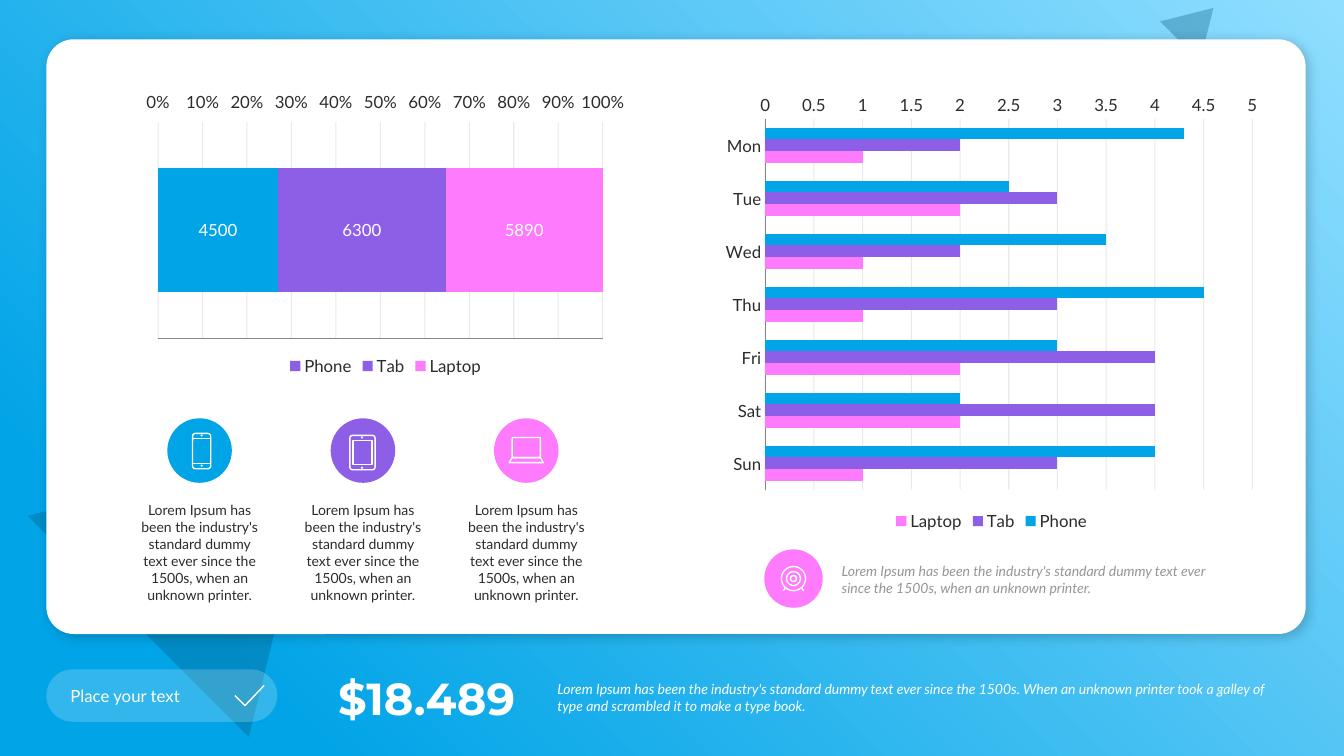
from lxml import etree
from pptx import Presentation
from pptx.chart.data import CategoryChartData
from pptx.dml.color import RGBColor
from pptx.enum.chart import XL_CHART_TYPE, XL_LEGEND_POSITION, XL_TICK_LABEL_POSITION, XL_TICK_MARK
from pptx.enum.shapes import MSO_CONNECTOR, MSO_SHAPE
from pptx.enum.text import MSO_ANCHOR, MSO_AUTO_SIZE, PP_ALIGN
from pptx.oxml import parse_xml
from pptx.oxml.ns import nsdecls, qn
from pptx.util import Inches, Pt

BLUE = RGBColor(0x01, 0xA4, 0xE7)
PURPLE = RGBColor(0x8D, 0x5F, 0xE6)
PINK = RGBColor(0xFD, 0x7B, 0xFC)
WHITE = RGBColor(0xFF, 0xFF, 0xFF)
INK = RGBColor(0x2C, 0x2C, 0x2C)
GRAY = RGBColor(0x96, 0x96, 0x96)
AXIS = RGBColor(0x86, 0x86, 0x86)
NAVY = RGBColor(0x00, 0x52, 0x74)
SKY = RGBColor(0x90, 0xDE, 0xFF)

LOREM = "Lorem Ipsum has been the industry's standard dummy text ever since the 1500s"
PRINTER = LOREM + ", when an unknown printer."
GALLEY = LOREM + (". When an unknown printer took a galley of type"
                  " and scrambled it to make a type book.")


def inches(*lengths):
    return [Inches(length) for length in lengths]


def set_values(target, values):
    for name, value in values.items():
        setattr(target, name, value)


def style_font(font, color, **values):
    set_values(font, {"name": "Lato", "size": Pt(10), **values})
    font.color.rgb = color


def set_alpha(element, percent):
    for color in element.iter(qn("a:srgbClr")):
        etree.SubElement(color, qn("a:alpha"), val=str(percent * 1000))


def add_solid(slide, kind, box, color, alpha=None, rotation=0, corner=None):
    shape = slide.shapes.add_shape(kind, *inches(*box))
    shape.shadow.inherit = False
    shape.fill.solid()
    shape.fill.fore_color.rgb = color
    shape.line.fill.background()
    shape.rotation = rotation
    if corner is not None:
        shape.adjustments[0] = corner
    if alpha is not None:
        set_alpha(shape.fill._xPr, alpha)
    return shape


def add_outline(slide, kind, box, corner=None):
    shape = add_solid(slide, kind, box, WHITE, corner=corner)
    shape.fill.background()
    shape.line.color.rgb = WHITE
    shape.line.width = Pt(1)


def add_stroke(slide, x1, y1, x2, y2):
    stroke = slide.shapes.add_connector(MSO_CONNECTOR.STRAIGHT, *inches(x1, y1, x2, y2))
    stroke.line.color.rgb = WHITE
    stroke.line.width = Pt(1)
    etree.SubElement(stroke._element.spPr, qn("a:effectLst"))


def write_text(holder, text, color, align=PP_ALIGN.LEFT, anchor=MSO_ANCHOR.MIDDLE, **font):
    frame = holder.text_frame
    frame.text = text
    set_values(frame, {"word_wrap": True, "auto_size": MSO_AUTO_SIZE.NONE,
                       "vertical_anchor": anchor})
    frame.paragraphs[0].alignment = align
    style_font(frame.paragraphs[0].runs[0].font, color, **font)


def add_text(slide, box, text, color, **values):
    write_text(slide.shapes.add_textbox(*inches(*box)), text, color, **values)


def add_backdrop(slide):
    backdrop = add_solid(slide, MSO_SHAPE.RECTANGLE, (0, 0, 13.33, 7.5), BLUE)
    solid = backdrop._element.spPr.find(qn("a:solidFill"))
    glow = parse_xml(
        f'<a:gradFill {nsdecls("a")} rotWithShape="1"><a:gsLst>'
        f'<a:gs pos="0"><a:srgbClr val="{SKY}"/></a:gs>'
        f'<a:gs pos="85000"><a:srgbClr val="{BLUE}"/></a:gs></a:gsLst>'
        '<a:path path="circle"><a:fillToRect l="100000" b="100000"/></a:path></a:gradFill>')
    solid.getparent().replace(solid, glow)
    for box in ((0.73, 4.02, 3.1, 2.57), (11.59, 0.01, 0.56, 0.47)):
        add_solid(slide, MSO_SHAPE.ISOSCELES_TRIANGLE, box, NAVY, alpha=30, rotation=45)


def add_card(slide):
    card = add_solid(slide, MSO_SHAPE.ROUNDED_RECTANGLE, (0.46, 0.39, 12.49, 5.9),
                     WHITE, corner=0.046)
    effects = card._element.spPr.find(qn("a:effectLst"))
    effects.append(parse_xml(
        f'<a:outerShdw {nsdecls("a")} blurRad="{Pt(8)}" dist="{Pt(3)}" dir="2700000" algn="tl"'
        ' rotWithShape="0"><a:srgbClr val="000000"><a:alpha val="20000"/></a:srgbClr>'
        '</a:outerShdw>'))


def place_plot(chart, box, plot_box):
    """Fix the inner plot area, both boxes being in slide inches."""
    left, top, width, height = box
    x, y, w, h = plot_box
    shares = {"x": (x - left) / width, "y": (y - top) / height, "w": w / width, "h": h / height}
    parts = "".join(f'<c:{key} val="{share:.3f}"/>' for key, share in shares.items())
    area = chart._chartSpace.chart.plotArea
    for old in area.findall(qn("c:layout")):
        area.remove(old)
    area.insert(0, parse_xml(
        f'<c:layout {nsdecls("c")}><c:manualLayout><c:layoutTarget val="inner"/>'
        f'<c:xMode val="edge"/><c:yMode val="edge"/>{parts}</c:manualLayout></c:layout>'))


def add_bar_chart(slide, kind, box, plot_box, categories, series, gap, overlap):
    data = CategoryChartData()
    data.categories = categories
    for name, values, _ in series:
        data.add_series(name, values)
    chart = slide.shapes.add_chart(kind, *inches(*box), data).chart
    style_font(chart.font, INK, size=Pt(12))
    set_values(chart, {"has_title": False, "has_legend": True})
    set_values(chart.legend, {"position": XL_LEGEND_POSITION.BOTTOM, "include_in_layout": False})
    plot = chart.plots[0]
    set_values(plot, {"gap_width": gap, "overlap": overlap, "vary_by_categories": False})
    for bars, (_, _, color) in zip(plot.series, series):
        bars.format.fill.solid()
        bars.format.fill.fore_color.rgb = color
    for axis in (chart.category_axis, chart.value_axis):
        set_values(axis, {"major_tick_mark": XL_TICK_MARK.NONE,
                          "minor_tick_mark": XL_TICK_MARK.NONE})
        axis.format.line.color.rgb = AXIS
    chart.value_axis.has_major_gridlines = True
    grid = chart.value_axis.major_gridlines.format.line
    grid.color.rgb = INK
    grid.width = Pt(0.75)
    set_alpha(grid._ln, 10)
    place_plot(chart, box, plot_box)
    return chart


def add_share_chart(slide):
    chart = add_bar_chart(
        slide, XL_CHART_TYPE.BAR_STACKED_100, (1.35, 0.85, 4.95, 2.92), (1.57, 1.21, 4.41, 2.15),
        ["1"], [("Phone", [4500], PURPLE), ("Tab", [6300], PURPLE), ("Laptop", [5890], PINK)],
        gap=75, overlap=100)
    chart.category_axis.visible = False
    set_values(chart.value_axis, {"tick_label_position": XL_TICK_LABEL_POSITION.HIGH,
                                  "major_unit": 0.1})
    set_values(chart.value_axis.tick_labels, {"number_format": "0%",
                                              "number_format_is_linked": False})
    plot = chart.plots[0]
    plot.has_data_labels = True
    plot.data_labels.show_value = True
    style_font(plot.data_labels.font, WHITE, size=Pt(12))
    phone_bar = plot.series[0].points[0].format.fill
    phone_bar.solid()
    phone_bar.fore_color.rgb = BLUE


def add_week_chart(slide):
    chart = add_bar_chart(
        slide, XL_CHART_TYPE.BAR_CLUSTERED, (7.09, 0.85, 5.49, 4.46), (7.59, 1.18, 4.83, 3.68),
        ["Mon", "Tue", "Wed", "Thu", "Fri", "Sat", "Sun"],
        [("Phone", [4.3, 2.5, 3.5, 4.5, 3, 2, 4], BLUE),
         ("Tab", [2, 3, 2, 3, 4, 4, 3], PURPLE),
         ("Laptop", [1, 2, 1, 1, 2, 2, 1], PINK)],
        gap=150, overlap=0)
    chart.category_axis.reverse_order = True
    set_values(chart.value_axis, {"minimum_scale": 0, "maximum_scale": 5, "major_unit": 0.5})
    chart.value_axis.format.line.fill.background()


def draw_phone(slide, x, y):
    add_outline(slide, MSO_SHAPE.ROUNDED_RECTANGLE, (x + 0.25, y + 0.15, 0.18, 0.35), 0.15)
    for line_y, dot_y in ((0.2, 0.17), (0.45, 0.47)):
        add_stroke(slide, x + 0.25, y + line_y, x + 0.43, y + line_y)
        add_solid(slide, MSO_SHAPE.OVAL, (x + 0.33, y + dot_y - 0.01, 0.02, 0.02), WHITE)


def draw_tablet(slide, x, y):
    add_outline(slide, MSO_SHAPE.ROUNDED_RECTANGLE, (x + 0.19, y + 0.17, 0.25, 0.34), 0.1)
    add_outline(slide, MSO_SHAPE.RECTANGLE, (x + 0.22, y + 0.22, 0.19, 0.24))
    for dot_y in (0.18, 0.48):
        add_solid(slide, MSO_SHAPE.OVAL, (x + 0.3, y + dot_y, 0.02, 0.02), WHITE)


def draw_laptop(slide, x, y):
    add_outline(slide, MSO_SHAPE.ROUNDED_RECTANGLE, (x + 0.18, y + 0.19, 0.28, 0.2), 0.06)
    add_outline(slide, MSO_SHAPE.TRAPEZOID, (x + 0.15, y + 0.39, 0.34, 0.05), 0.6)


def draw_target(slide, x, y):
    for radius in (0.03, 0.07, 0.12):
        add_outline(slide, MSO_SHAPE.OVAL,
                    (x + 0.29 - radius, y + 0.29 - radius, 2 * radius, 2 * radius))
    for side in (-1, 1):
        add_stroke(slide, x + 0.29 + side * 0.08, y + 0.38, x + 0.29 + side * 0.1, y + 0.41)


def add_devices(slide):
    devices = ((BLUE, draw_phone), (PURPLE, draw_tablet), (PINK, draw_laptop))
    for column, (color, draw_icon) in enumerate(devices):
        x = 1.66 + 1.62 * column
        add_solid(slide, MSO_SHAPE.OVAL, (x, 4.15, 0.64, 0.64), color)
        draw_icon(slide, x, 4.15)
        add_text(slide, (x - 0.36, 4.93, 1.36, 1.11), PRINTER, INK,
                 align=PP_ALIGN.CENTER, anchor=MSO_ANCHOR.TOP)


def add_button(slide):
    add_solid(slide, MSO_SHAPE.ROUNDED_RECTANGLE, (0.46, 6.64, 2.29, 0.52), WHITE,
              alpha=20, corner=0.5)
    add_stroke(slide, 2.33, 6.9, 2.43, 7)
    add_stroke(slide, 2.43, 7, 2.62, 6.8)
    add_text(slide, (0.6, 6.75, 1.88, 0.3), "Place your text", WHITE, size=Pt(12))


def add_headline(slide):
    title = slide.shapes.title
    slide.shapes._spTree.append(title._element)
    set_values(title, dict(zip(("left", "top", "width", "height"), inches(3.19, 6.6, 2.02, 0.64))))
    write_text(title, "$18.489", WHITE, align=PP_ALIGN.RIGHT,
               name="Montserrat", size=Pt(32), bold=True)


def main():
    deck = Presentation()
    set_values(deck, {"slide_width": Inches(13.33), "slide_height": Inches(7.5)})
    slide = deck.slides.add_slide(deck.slide_layouts[5])
    add_backdrop(slide)
    add_card(slide)
    add_share_chart(slide)
    add_devices(slide)
    add_week_chart(slide)
    add_button(slide)
    add_headline(slide)
    add_text(slide, (5.43, 6.7, 7.33, 0.44), GALLEY, WHITE, italic=True)
    add_solid(slide, MSO_SHAPE.OVAL, (7.58, 5.45, 0.58, 0.58), PINK)
    draw_target(slide, 7.58, 5.45)
    add_text(slide, (8.25, 5.53, 4.07, 0.44), PRINTER, GRAY, italic=True)
    deck.save("out.pptx")


if __name__ == "__main__":
    main()
